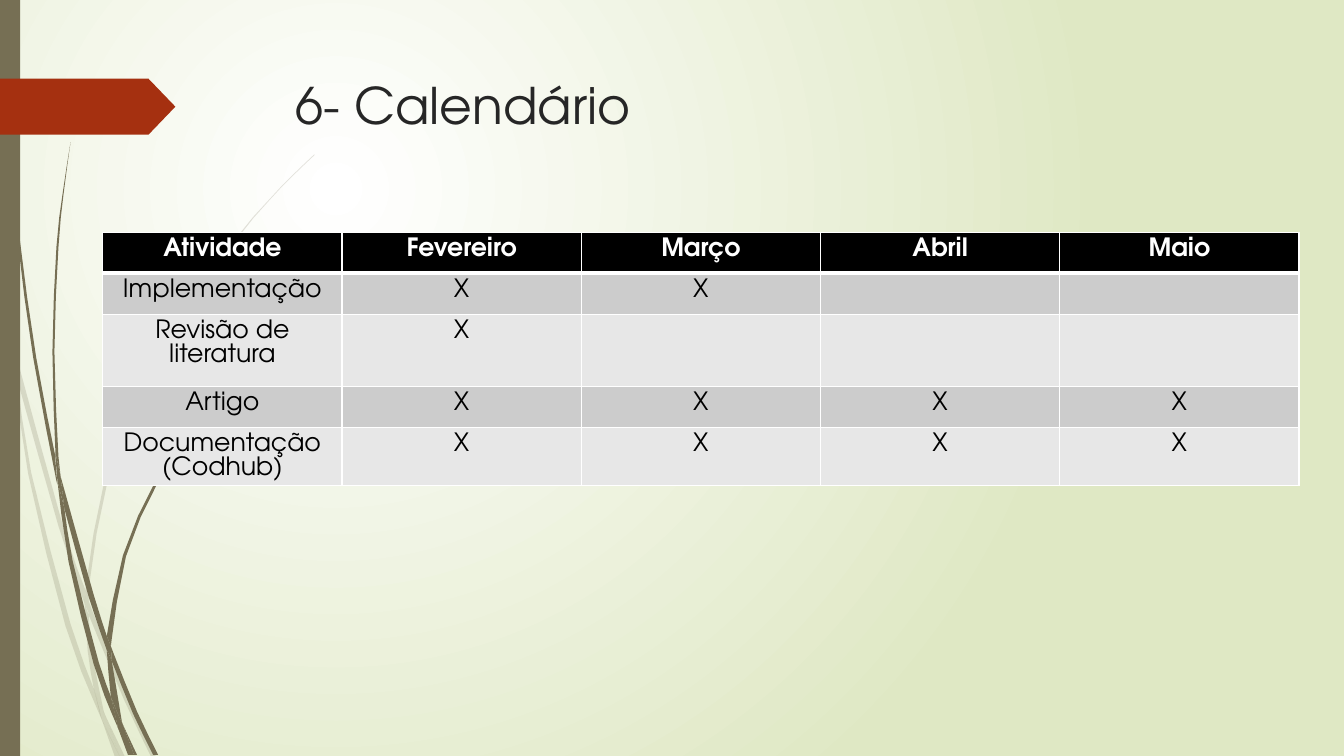
from math import dist

from lxml import etree
from pptx import Presentation
from pptx.dml.color import RGBColor
from pptx.enum.shapes import MSO_SHAPE as Preset
from pptx.enum.text import PP_ALIGN as Align
from pptx.oxml.ns import qn
from pptx.util import Pt

FONT = "TeX Gyre Adventor"
OLIVE, RUST, WHITE, BLACK = "766F54", "A53010", "FFFFFF", "000000"
GRID = 0.72    # points per unit of the stem outlines
LONG_SPAN = 30  # spans longer than this get a point in the middle

# Each stem piece is one edge, then the edge that leads back.
PALE_STEMS = [
    ([(11, 350), (9, 322), (0, 282)], [(0, 299), (10, 344)]),
    ([(17, 376), (58, 522), (84, 599)], [(85, 586), (62, 520), (14, 345)]),
    ([(88, 596), (92, 607), (127, 692), (155, 751)],
     [(150, 751), (123, 694), (88, 610)]),
    ([(105, 711), (124, 751)], [(119, 751)]),
    ([(11, 350), (17, 376), (31, 469), (70, 619), (93, 683), (101, 714)],
     [(92, 693), (65, 621), (28, 470), (11, 350)]),
    ([(84, 599), (87, 646), (93, 683), (96, 692), (105, 711)],
     [(103, 706), (91, 646), (88, 610), (84, 599)]),
    ([(88, 596), (88, 584), (110, 462), (160, 349), (229, 245), (268, 198),
      (290, 175), (312, 154)],
     [(312, 153), (289, 175), (268, 197), (228, 244), (158, 348), (107, 461),
      (85, 584), (85, 586)]),
    ([(101, 714), (114, 751)], [(119, 751)]),
    ([(88, 610), (88, 596)], [(85, 586), (84, 599), (88, 608)]),
    ([(93, 683), (99, 707), (101, 714), (119, 751)],
     [(105, 711), (96, 692)]),
]
DARK_STEMS = [
    ([(4, 0), (4, 48), (7, 110), (17, 233), (33, 355), (56, 477), (57, 481)],
     [(55, 457), (55, 453), (36, 355), (19, 232), (8, 109), (5, 48), (3, 0)]),
    ([(64, 505), (88, 592), (106, 645)],
     [(106, 633), (106, 631), (93, 590), (60, 472)]),
    ([(110, 641), (113, 649), (136, 706), (157, 749)],
     [(152, 749), (132, 708), (111, 656)]),
    ([(57, 477), (64, 505), (72, 556), (98, 657), (110, 691), (117, 722)],
     [(111, 708), (93, 659), (68, 557), (57, 477)]),
    ([(60, 472), (58, 453), (54, 349), (58, 245), (63, 193), (70, 141)],
     [(70, 141), (62, 193), (56, 245), (52, 349), (55, 449)]),
    ([(122, 719), (136, 749)], [(133, 749)]),
    ([(55, 449), (55, 453), (57, 477), (64, 505)], [(60, 472)]),
    ([(110, 641), (111, 633), (125, 552), (158, 476), (205, 406), (231, 374),
      (245, 359), (261, 344)],
     [(260, 344), (245, 358), (231, 373), (204, 405), (156, 474), (122, 551),
      (106, 631)]),
    ([(117, 722), (127, 749)], [(131, 749)]),
    ([(106, 645), (110, 691), (116, 706), (122, 719)],
     [(121, 716), (111, 656), (109, 651)]),
    ([(106, 645), (109, 651), (111, 656)], [(110, 641), (106, 631)]),
    ([(110, 691), (116, 717), (117, 722), (130, 749)],
     [(133, 749), (122, 719), (116, 706)]),
]

MONTHS = ["Fevereiro", "Março", "Abril", "Maio"]
ACTIVITIES = [
    ("Implementação", 2),
    ("Revisão de literatura", 1),
    ("Artigo", 4),
    ("Documentação\n(Codhub)", 4),
]


def color(value):
    """Turn a hex string into a colour."""
    return RGBColor.from_string(value)


def paint(shape, value):
    """Give a shape a plain fill, no line and no shadow."""
    shape.shadow.inherit = False
    shape.fill.solid()
    shape.fill.fore_color.rgb = color(value)
    shape.line.fill.background()


def style(paragraph, size, value, bold=False):
    """Set the font of a paragraph."""
    font = paragraph.font
    font.name, font.size, font.bold = FONT, Pt(size), bold
    font.color.rgb = color(value)


def smooth(edge):
    """Return the edge with a softly curved middle point in long spans."""
    padded = [edge[0], *edge, edge[-1]]
    curve = [edge[0]]
    for a, b, c, d in zip(padded, padded[1:], padded[2:], padded[3:]):
        if dist(b, c) > LONG_SPAN:
            curve.append(tuple((9 * (q + r) - p - s) / 16
                               for p, q, r, s in zip(a, b, c, d)))
        curve.append(c)
    return curve


def draw_background(slide):
    """Fill the slide with a glow that starts near the upper left."""
    fill = slide.background.fill
    fill.gradient()
    for stop, value in zip(fill.gradient_stops, (WHITE, "DFE8C4")):
        stop.color.rgb = color(value)
    gradient = slide._element.find(".//" + qn("a:gradFill"))
    gradient.remove(gradient.find(qn("a:lin")))
    glow = etree.SubElement(gradient, qn("a:path"), path="circle")
    etree.SubElement(glow, qn("a:fillToRect"),
                     l="50000", t="50000", r="100000", b="100000")


def draw_stems(slide, left, top, stems, alpha=None):
    """Draw a tuft of grass from its pieces, optionally see-through."""
    for edges in stems:
        outline = [(x * Pt(GRID), y * Pt(GRID))
                   for edge in edges for x, y in smooth(edge)]
        builder = slide.shapes.build_freeform(*outline[0])
        builder.add_line_segments(outline[1:], close=True)
        stem = builder.convert_to_shape(Pt(left), Pt(top))
        paint(stem, OLIVE)
        if alpha:
            tint = stem._element.spPr.find(".//" + qn("a:srgbClr"))
            etree.SubElement(tint, qn("a:alpha"), val=str(alpha * 1000))


def draw_margin(slide, left, top, height):
    """Draw the side bar and the pointer beside the title."""
    bar = slide.shapes.add_shape(Preset.RECTANGLE, Pt(left), Pt(top),
                                 Pt(14.4), Pt(height))
    paint(bar, OLIVE)
    pointer = slide.shapes.add_shape(Preset.PENTAGON, Pt(left), Pt(top + 56.2),
                                     Pt(125.3), Pt(40))
    pointer.adjustments[0] = 0.48
    paint(pointer, RUST)


def draw_title(slide, left, top, width, height):
    """Write the slide title."""
    title = slide.shapes.add_textbox(Pt(left), Pt(top), Pt(width), Pt(height))
    title.text_frame.word_wrap = True
    title.text_frame.text = "6- Calendário"
    style(title.text_frame.paragraphs[0], 36, "262626")


def set_borders(cell, **widths):
    """Put white borders of the given widths before the cell's fill."""
    properties = cell._tc.get_or_add_tcPr()
    for index, side in enumerate("LRTB"):
        line = etree.Element(qn("a:ln" + side), w=str(Pt(widths.get(side, 1))))
        solid = etree.SubElement(line, qn("a:solidFill"))
        etree.SubElement(solid, qn("a:srgbClr"), val=WHITE)
        properties.insert(index, line)


def draw_calendar(slide, left, top, width, row_heights):
    """Draw the table of activities by month."""
    rows = [["Atividade", *MONTHS]]
    for activity, months in ACTIVITIES:
        rows.append([activity] + ["X"] * months + [""] * (len(MONTHS) - months))
    table = slide.shapes.add_table(len(rows), len(rows[0]), Pt(left), Pt(top),
                                   Pt(width), Pt(sum(row_heights))).table
    for row, height in zip(table.rows, row_heights):
        row.height = Pt(height)
    for r, row in enumerate(rows):
        for c, text in enumerate(row):
            cell = table.cell(r, c)
            cell.text = text
            cell.margin_left = cell.margin_right = Pt(5.4)
            cell.margin_top = cell.margin_bottom = Pt(3.6)
            cell.fill.solid()
            shade = ("E7E7E7", "CCCCCC")[r % 2] if r else BLACK
            cell.fill.fore_color.rgb = color(shade)
            set_borders(cell, **({0: {"B": 3}, 1: {"T": 3}}.get(r, {})))
            for paragraph in cell.text_frame.paragraphs:
                paragraph.alignment = Align.CENTER
                paragraph.line_spacing = Pt(17)
                style(paragraph, 18, BLACK if r else WHITE, bold=r == 0)


def main():
    """Build and save the slide."""
    deck = Presentation()
    deck.slide_width, deck.slide_height = Pt(960), Pt(540)
    slide = deck.slides.add_slide(deck.slide_layouts[6])
    draw_background(slide)
    draw_stems(slide, 0, 0, PALE_STEMS, alpha=20)
    draw_stems(slide, 0, 0, DARK_STEMS)
    draw_margin(slide, 0, 0, 540)
    draw_title(slide, 204.2, 49.4, 702, 100.8)
    draw_calendar(slide, 73.4, 165.8, 854.6, [29.4, 29.4, 51.6, 29.3, 41.4])
    deck.save("out.pptx")


main()
